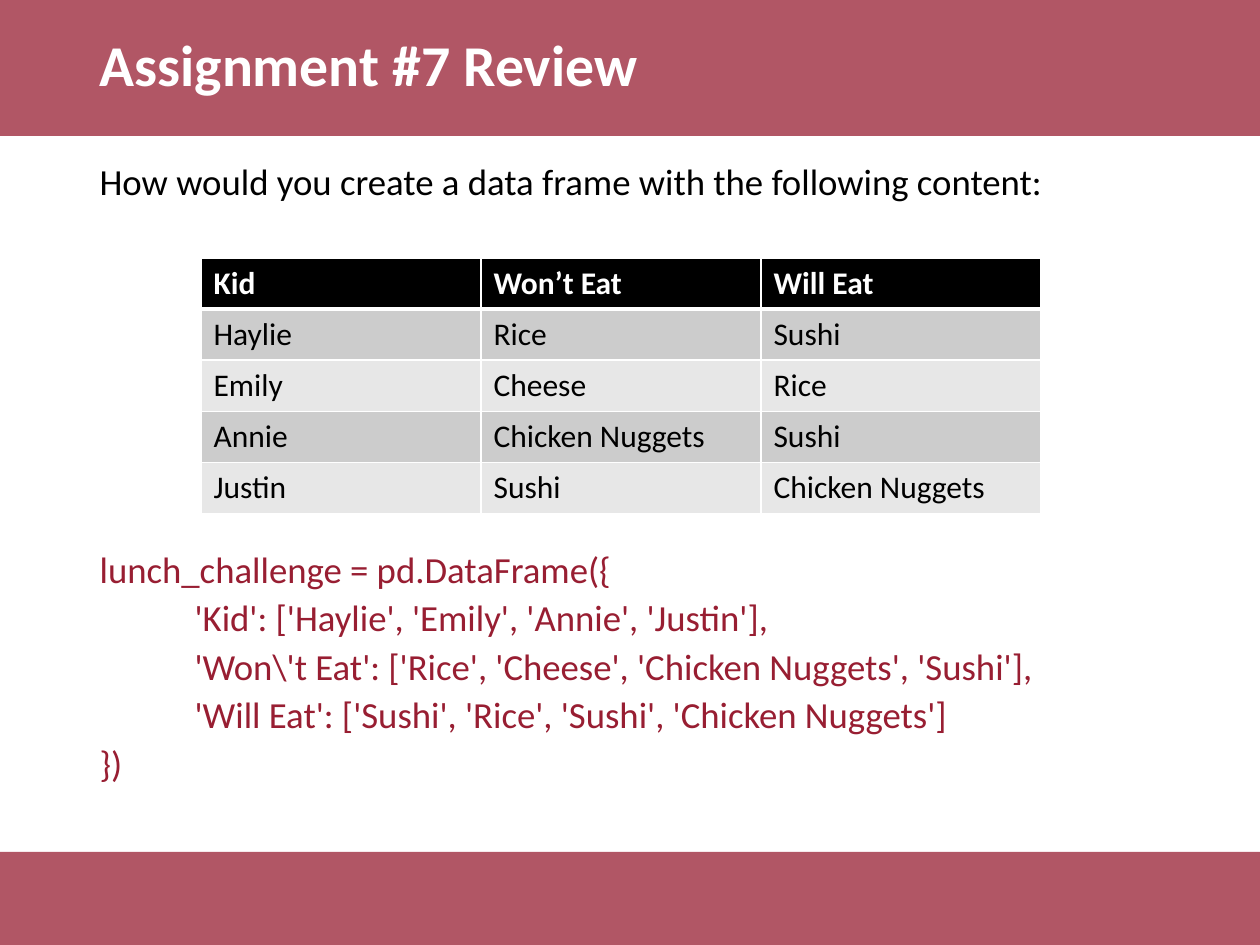
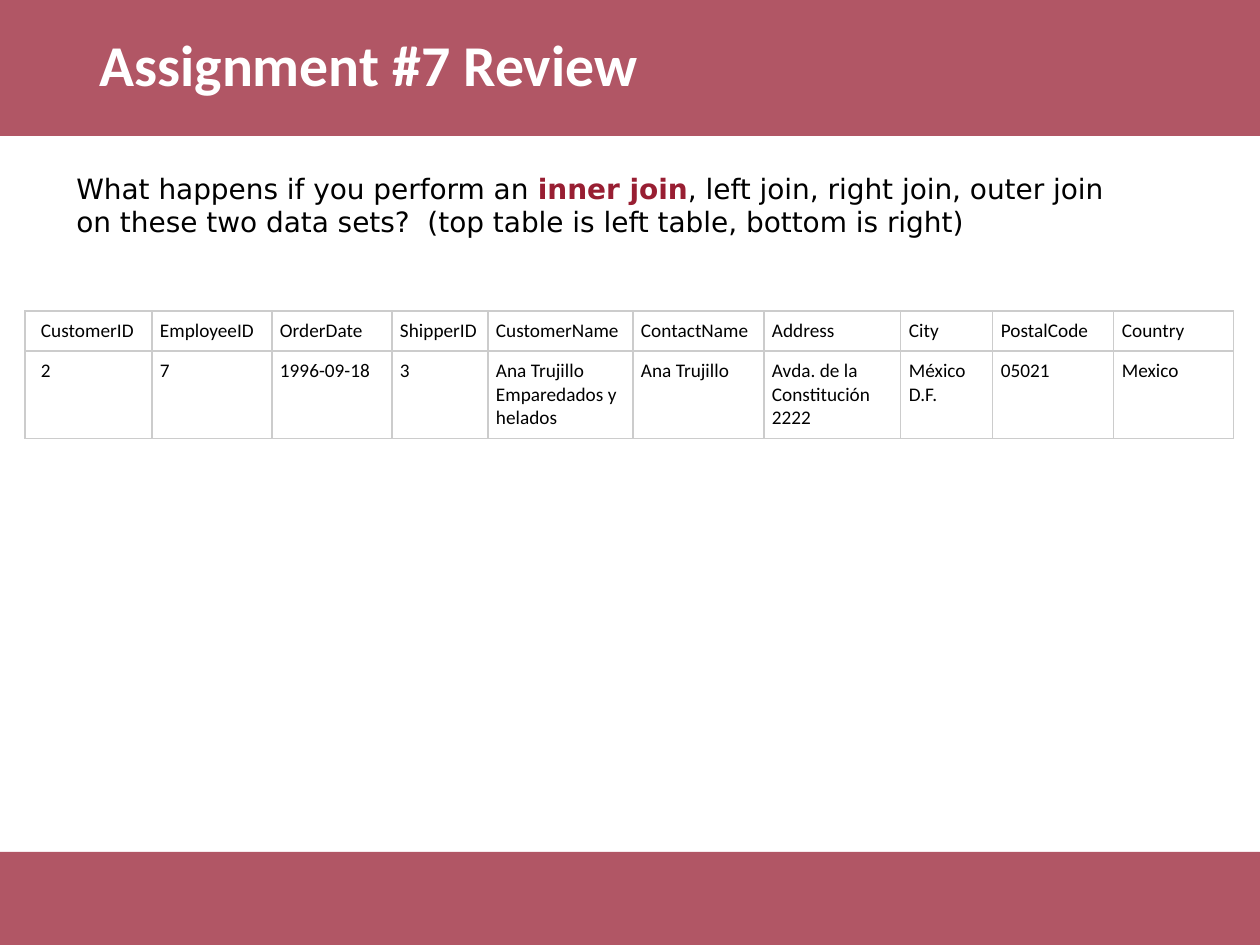
from itertools import product

from lxml.etree import SubElement
from pptx import Presentation
from pptx.dml.color import RGBColor
from pptx.enum.shapes import MSO_SHAPE
from pptx.enum.text import MSO_ANCHOR, MSO_AUTO_SIZE, PP_ALIGN
from pptx.oxml.ns import qn
from pptx.util import Pt

EMU_PER_PX = 914400 / 126
WIDTH, HEIGHT = 1260, 945
TITLE_H, FOOTER_H = 136, 93
MARGIN = 87

CRIMSON = RGBColor(0x98, 0x1E, 0x32)
WHITE = RGBColor(0xFF, 0xFF, 0xFF)
BLACK = RGBColor(0x00, 0x00, 0x00)
GRAY = RGBColor(0xCC, 0xCC, 0xCC)
LIGHT_GRAY = RGBColor(0xE7, 0xE7, 0xE7)

TITLE = "Assignment #7 Review"
QUESTION = "How would you create a data frame with the following content:"
LUNCHES = [
    ["Kid", "Won’t Eat", "Will Eat"],
    ["Haylie", "Rice", "Sushi"],
    ["Emily", "Cheese", "Rice"],
    ["Annie", "Chicken Nuggets", "Sushi"],
    ["Justin", "Sushi", "Chicken Nuggets"],
]
# (indent level, line of code)
CODE = [
    (0, "lunch_challenge = pd.DataFrame({"),
    (1, "'Kid': ['Haylie', 'Emily', 'Annie', 'Justin'],"),
    (1, "'Won\\'t Eat': ['Rice', 'Cheese', 'Chicken Nuggets', 'Sushi'],"),
    (1, "'Will Eat': ['Sushi', 'Rice', 'Sushi', 'Chicken Nuggets']"),
    (0, "})"),
]
ORDERS = [
    ["CustomerID", "EmployeeID", "OrderDate", "ShipperID", "CustomerName",
     "ContactName", "Address", "City", "PostalCode", "Country"],
    ["2", "7", "1996-09-18", "3", "Ana Trujillo Emparedados y helados",
     "Ana Trujillo", "Avda. de la Constitución 2222", "México D.F.",
     "05021", "Mexico"],
]
ORDER_COLS = [127, 120, 120, 96, 145, 131, 137, 92, 121, 120]


def px(n):
    return round(n * EMU_PER_PX)


def place(s, x, y, w, h):
    s.left, s.top, s.width, s.height = map(px, (x, y, w, h))


def add_text(p, text, *, size, color=BLACK, bold=False, font="Calibri"):
    r = p.add_run()
    r.text = text
    r.font.name, r.font.size, r.font.bold = font, Pt(size), bold
    r.font.color.rgb = color


def add_bands(prs, slide):
    """Draw the title and footer bands and move them to the master."""
    bands = [(0, TITLE_H), (HEIGHT - FOOTER_H, FOOTER_H)]
    for i, (y, h) in enumerate(bands):
        s = slide.shapes.add_shape(MSO_SHAPE.RECTANGLE, 0, px(y), px(WIDTH), px(h))
        s.shadow.inherit = False
        s.fill.solid()
        s.fill.fore_color.rgb = CRIMSON
        s.line.fill.background()
        color = s.element.spPr.find(qn("a:solidFill")).find(qn("a:srgbClr"))
        SubElement(color, qn("a:alpha"), val="75000")
        s.element.nvSpPr.cNvPr.set("id", str(20 + i))
        prs.slide_master.shapes.element.insert(2, s.element)


def add_title(slide):
    s = slide.shapes.title
    place(s, MARGIN, 0, WIDTH - 2 * MARGIN, TITLE_H)
    tf = s.text_frame
    tf.vertical_anchor = MSO_ANCHOR.MIDDLE
    tf.auto_size = MSO_AUTO_SIZE.NONE
    p = tf.paragraphs[0]
    p.alignment = PP_ALIGN.LEFT
    p.line_spacing = 0.9
    add_text(p, TITLE, size=33, color=WHITE, bold=True)


def add_body(slide, x, y, w, h):
    s = slide.placeholders[1]
    place(s, x, y, w, h)
    tf = s.text_frame
    tf.auto_size = MSO_AUTO_SIZE.NONE
    lines = [(0, QUESTION, BLACK)] + [(*line, CRIMSON) for line in CODE]
    for i, (level, text, color) in enumerate(lines):
        p = tf.add_paragraph() if i else tf.paragraphs[0]
        p.line_spacing = 0.8
        # The first line of code leaves room for the table
        p.space_before = Pt(201.5 if i == 1 else 7.5)
        pPr = p._p.get_or_add_pPr()
        pPr.set("marL", str(px(95 * level)))
        pPr.set("indent", "0")
        SubElement(pPr, qn("a:buNone"))
        add_text(p, text, size=21, color=color)


def set_borders(cell, color, **widths):
    """Set cell borders; widths in points are keyed L, R, T and B."""
    tcPr = cell._tc.get_or_add_tcPr()
    for i, (side, width) in enumerate(widths.items()):
        ln = tcPr.makeelement(qn(f"a:ln{side}"), {"w": str(Pt(width))})
        fill = SubElement(ln, qn("a:solidFill"))
        SubElement(fill, qn("a:srgbClr"), val=str(color))
        tcPr.insert(i, ln)


def add_grid(slide, x, y, rows, col_widths, row_heights):
    """Add a plain table and return it."""
    table = slide.shapes.add_table(
        len(rows), len(col_widths), px(x), px(y),
        px(sum(col_widths)), px(sum(row_heights))).table
    table.first_row = table.horz_banding = False
    for col, w in zip(table.columns, col_widths):
        col.width = px(w)
    for row, h in zip(table.rows, row_heights):
        row.height = px(h)
    return table


def fill_cell(cell, color):
    cell.fill.solid()
    cell.fill.fore_color.rgb = color


def add_lunch_table(slide, x, y):
    table = add_grid(slide, x, y, LUNCHES, [280] * 3, [51] * len(LUNCHES))
    for i, j in product(range(len(LUNCHES)), range(3)):
        cell, header = table.cell(i, j), i == 0
        fill_cell(cell, BLACK if header else GRAY if i % 2 else LIGHT_GRAY)
        set_borders(cell, WHITE, L=1, R=1, T=3 if i == 1 else 1, B=3 if header else 1)
        add_text(cell.text_frame.paragraphs[0], LUNCHES[i][j], size=18,
                 color=WHITE if header else BLACK, bold=header)


def add_order_table(slide, x, y):
    table = add_grid(slide, x, y, ORDERS, ORDER_COLS, [40, 88])
    for i, j in product(range(len(ORDERS)), range(len(ORDER_COLS))):
        cell = table.cell(i, j)
        cell.margin_left = px(8 if j else 16)
        cell.margin_right = cell.margin_top = cell.margin_bottom = px(8)
        fill_cell(cell, WHITE)
        set_borders(cell, GRAY, L=0.75, R=0.75, T=0.75, B=0.75)
        add_text(cell.text_frame.paragraphs[0], ORDERS[i][j], size=11)


def add_join_question(slide, x, y, w, h):
    tf = slide.shapes.add_textbox(px(x), px(y), px(w), px(h)).text_frame
    tf.word_wrap = True
    p = tf.paragraphs[0]
    look = {"size": 16, "font": "DejaVu Sans"}
    add_text(p, "What happens if you perform an ", **look)
    add_text(p, "inner join", color=CRIMSON, bold=True, **look)
    add_text(p, ", left join, right join, outer join on these two data sets?  "
                "(top table is left table, bottom is right)", **look)


def build_data_frame_slide(prs):
    slide = prs.slides.add_slide(prs.slide_layouts[1])
    add_title(slide)
    add_body(slide, MARGIN, 161, WIDTH - 2 * MARGIN, 690)
    add_lunch_table(slide, 201, 258)
    return slide


def build_join_slide(prs):
    slide = prs.slides.add_slide(prs.slide_layouts[5])
    add_title(slide)
    add_order_table(slide, 25, 311)
    add_join_question(slide, 64, 165, WIDTH - 2 * MARGIN, 118)


def main():
    prs = Presentation()
    prs.slide_width, prs.slide_height = px(WIDTH), px(HEIGHT)
    add_bands(prs, build_data_frame_slide(prs))
    build_join_slide(prs)
    prs.save("out.pptx")


if __name__ == "__main__":
    main()
